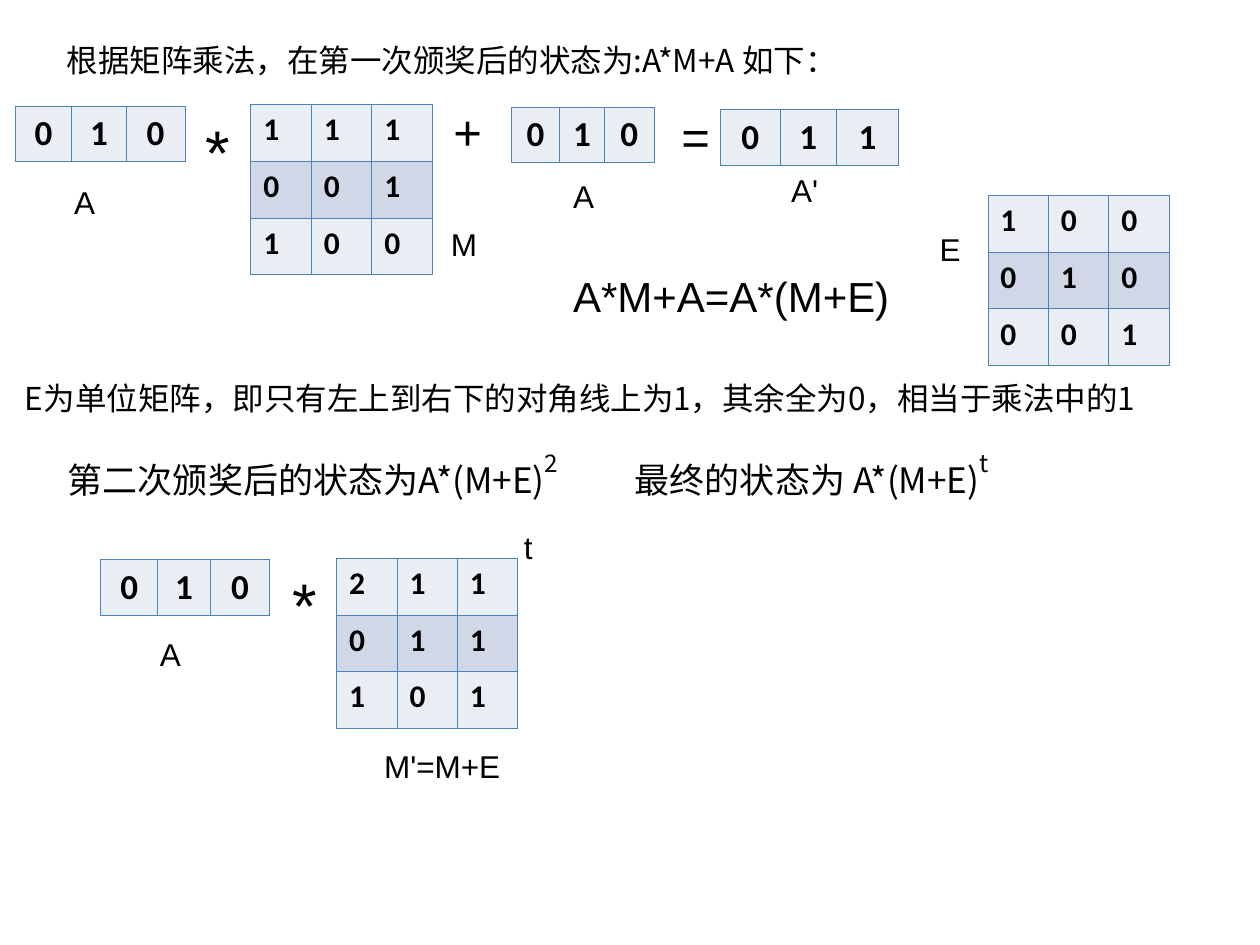
from lxml.etree import SubElement
from pptx import Presentation
from pptx.dml.color import RGBColor
from pptx.enum.text import MSO_AUTO_SIZE as AutoSize, PP_ALIGN as Align
from pptx.oxml.ns import qn
from pptx.util import Inches, Pt

BLACK = RGBColor(0x00, 0x00, 0x00)
BORDER = RGBColor(0x4F, 0x81, 0xBD)
BANDS = [RGBColor(0xE9, 0xED, 0xF4), RGBColor(0xD0, 0xD8, 0xE8)]
HAN, LATIN, DIGITS = "Noto Sans CJK SC", "Arial", "Calibri"

# Row vectors: left, top, column widths, values
VECTORS = [
    (0.12, 0.84, (0.45, 0.43, 0.47), "010"),
    (4.06, 0.85, (0.38, 0.36, 0.39), "010"),
    (5.72, 0.87, (0.47, 0.45, 0.49), "011"),
    (0.80, 4.44, (0.45, 0.42, 0.47), "010"),
]
VECTOR_ROW = 0.44

# Square matrices: left, top, rows of values
MATRICES = [
    (1.99, 0.83, ("111", "001", "100")),
    (7.84, 1.55, ("100", "010", "001")),
    (2.67, 4.43, ("211", "011", "101")),
]
MATRIX_COLUMN, MATRIX_ROW = 0.48, 0.45

# Sentences: left, top, width, height, size, text, exponent
SENTENCES = [
    (0.43, 0.28, 6.93, 0.4, 18, "根据矩阵乘法，在第一次颁奖后的状态为:A*M+A 如下：", ""),
    (0.10, 2.96, 9.37, 0.4, 18,
     "E为单位矩阵，即只有左上到右下的对角线上为1，其余全为0，相当于乘法中的1", ""),
    (0.44, 3.51, 4.22, 0.53, 20, "第二次颁奖后的状态为A*(M+E)", "2"),
    (4.94, 3.51, 3.13, 0.53, 20, "最终的状态为 A*(M+E)", "t"),
]
EXPONENT_SIZE = 24

# Operators, names and the formula: left, top, width, height, size, text
SYMBOLS = [
    (1.53, 0.84, 0.34, 0.70, 36, "*"),
    (3.50, 0.76, 0.34, 0.57, 28, "+"),
    (5.31, 0.80, 0.34, 0.57, 28, "="),
    (2.22, 4.44, 0.34, 0.70, 36, "*"),
    (4.45, 2.10, 2.78, 0.50, 24, "A*M+A=A*(M+E)"),
    (0.49, 1.40, 0.36, 0.40, 18, "A"),
    (3.48, 1.74, 0.41, 0.40, 18, "M"),
    (4.45, 1.36, 0.36, 0.40, 18, "A"),
    (6.18, 1.31, 0.44, 0.40, 18, "A'"),
    (7.36, 1.78, 0.36, 0.40, 18, "E"),
    (1.17, 4.99, 0.36, 0.40, 18, "A"),
    (4.06, 4.14, 0.27, 0.40, 18, "t"),
    (2.95, 5.88, 1.12, 0.40, 18, "M'=M+E"),
]


def style(span, font, size, bold=False):
    span.font.name = font
    span.font.size = Pt(size)
    span.font.bold = bold
    span.font.color.rgb = BLACK
    SubElement(span._r.get_or_add_rPr(), qn("a:ea"), typeface=font)


def add_text(page, left, top, width, height, size, text, font, exponent=""):
    box = page.shapes.add_textbox(*map(Inches, (left, top, width, height)))
    frame = box.text_frame
    frame.word_wrap = False
    frame.auto_size = AutoSize.SHAPE_TO_FIT_TEXT
    frame.text = text
    para = frame.paragraphs[0]
    style(para.runs[0], font, size)
    if exponent:
        span = para.add_run()
        span.text = exponent
        style(span, font, EXPONENT_SIZE)
        span._r.get_or_add_rPr().set("baseline", "50000")


def add_borders(cell):
    properties = cell._tc.get_or_add_tcPr()
    for side in ("lnL", "lnR", "lnT", "lnB"):
        line = SubElement(properties, qn(f"a:{side}"), w=str(Pt(0.45)))
        fill = SubElement(line, qn("a:solidFill"))
        SubElement(fill, qn("a:srgbClr"), val=str(BORDER))


def add_grid(page, left, top, widths, row_height, rows, size, align):
    height = row_height * len(rows)
    frame = page.shapes.add_table(len(rows), len(widths), Inches(left), Inches(top),
                                  Inches(sum(widths)), Inches(height))
    table = frame.table
    table.first_row = table.horz_banding = False
    for column, width in zip(table.columns, widths):
        column.width = Inches(width)
    for r, values in enumerate(rows):
        table.rows[r].height = Inches(row_height)
        for c, value in enumerate(values):
            cell = table.cell(r, c)
            add_borders(cell)
            cell.fill.solid()
            cell.fill.fore_color.rgb = BANDS[r % 2]
            cell.text_frame.text = value
            para = cell.text_frame.paragraphs[0]
            para.alignment = align
            style(para.runs[0], DIGITS, size, bold=True)


def main():
    deck = Presentation()
    deck.slide_width, deck.slide_height = Inches(10), Inches(7.5)
    page = deck.slides.add_slide(deck.slide_layouts.get_by_name("Blank"))

    # Vectors and matrices
    for left, top, widths, values in VECTORS:
        add_grid(page, left, top, widths, VECTOR_ROW, [values], 20, Align.CENTER)
    for left, top, rows in MATRICES:
        add_grid(page, left, top, [MATRIX_COLUMN] * 3, MATRIX_ROW, rows, 18, Align.LEFT)

    # Sentences and symbols
    for *place, text, exponent in SENTENCES:
        add_text(page, *place, text, HAN, exponent)
    for *place, text in SYMBOLS:
        add_text(page, *place, text, LATIN)

    deck.save("out.pptx")


if __name__ == "__main__":
    main()
